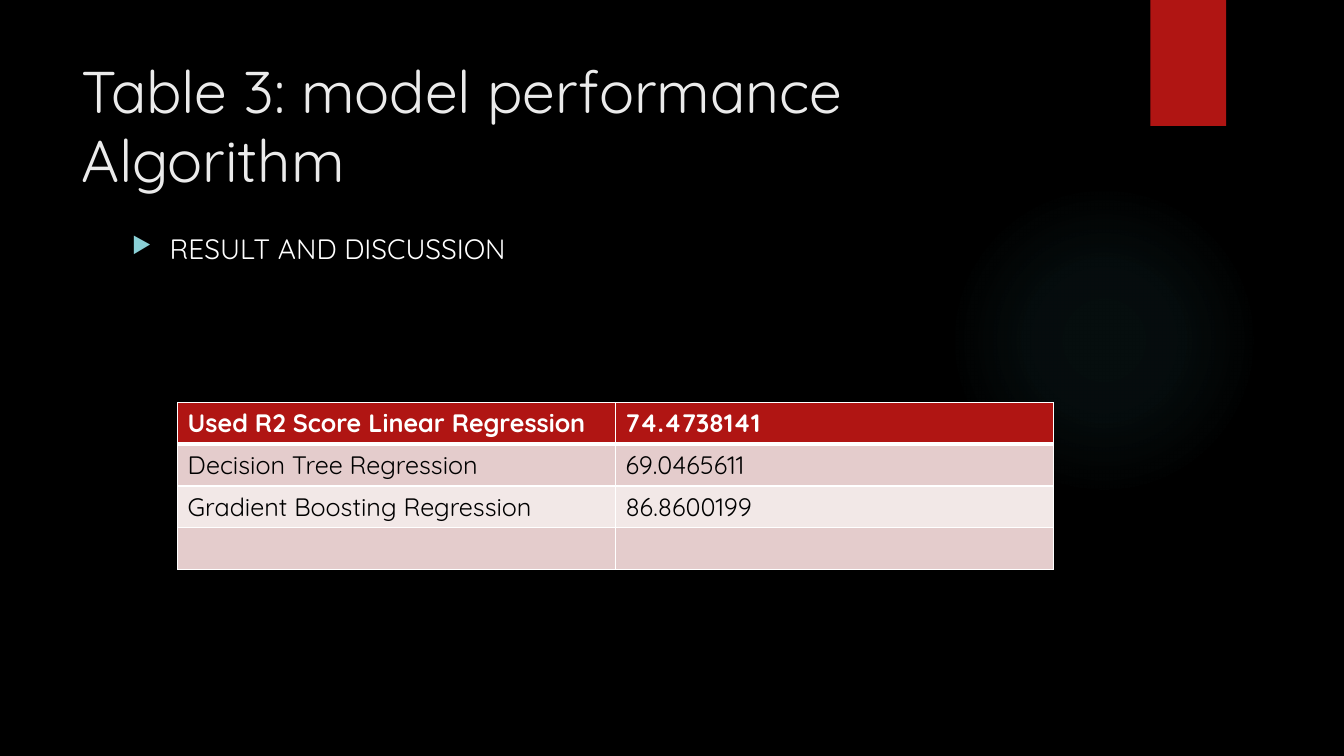
from lxml import etree
from pptx import Presentation
from pptx.dml.color import RGBColor
from pptx.enum.shapes import MSO_SHAPE
from pptx.enum.text import MSO_ANCHOR, MSO_AUTO_SIZE, PP_ALIGN
from pptx.oxml import parse_xml
from pptx.oxml.ns import nsdecls, qn
from pptx.util import Pt

OVAL, RECTANGLE = MSO_SHAPE.OVAL, MSO_SHAPE.RECTANGLE
LEFT, TOP, MIDDLE = PP_ALIGN.LEFT, MSO_ANCHOR.TOP, MSO_ANCHOR.MIDDLE
NO_AUTOFIT = MSO_AUTO_SIZE.NONE

BLACK = RGBColor(0x00, 0x00, 0x00)
WHITE = RGBColor(0xFF, 0xFF, 0xFF)
TITLE_GREY = RGBColor(0xEB, 0xEB, 0xEB)
RED = RGBColor(0xB0, 0x15, 0x13)
DARK_BAND = RGBColor(0xE4, 0xCC, 0xCC)
LIGHT_BAND = RGBColor(0xF2, 0xE8, 0xE7)
GLOW = RGBColor(0x50, 0xB9, 0xC1)
BULLET = RGBColor(0x8A, 0xD0, 0xD6)
FONT = "Quicksand"


def style_text(para, size, color, bold=False):
    for span in para.runs:
        span.font.name = FONT
        span.font.size = Pt(size)
        span.font.bold = bold
        span.font.color.rgb = color


def add_border(cell, side, width):
    cell._tc.get_or_add_tcPr().append(parse_xml(
        f'<a:{side} {nsdecls("a")} w="{Pt(width)}"><a:solidFill>'
        f'<a:srgbClr val="{WHITE}"/></a:solidFill></a:{side}>'))


deck = Presentation()
deck.slide_width, deck.slide_height = Pt(960), Pt(540)
page = deck.slides.add_slide(deck.slide_layouts[5])
page.background.fill.solid()
page.background.fill.fore_color.rgb = BLACK

# Soft round glow, fading outwards
glow = page.shapes.add_shape(OVAL, Pt(677.5), Pt(131.8), Pt(221.8), Pt(221.8))
glow.shadow.inherit = False
glow.line.fill.background()
stops = "".join(
    f'<a:gs pos="{position * 1000}"><a:srgbClr val="{GLOW}">'
    f'<a:alpha val="{alpha * 1000}"/></a:srgbClr></a:gs>'
    for position, alpha in [(0, 7), (36, 6), (69, 0), (100, 0)])
glow._element.spPr.find(qn("a:prstGeom")).addnext(parse_xml(
    f'<a:gradFill {nsdecls("a")}><a:gsLst>{stops}</a:gsLst><a:path path="circle">'
    '<a:fillToRect l="50000" t="50000" r="50000" b="50000"/></a:path></a:gradFill>'))

# Red tab at the top edge
tab = page.shapes.add_shape(RECTANGLE, Pt(821.8), Pt(0), Pt(54), Pt(90))
tab.shadow.inherit = False
tab.fill.solid()
tab.fill.fore_color.rgb = RED
tab.line.fill.background()

# Title
title = page.shapes.title
title.left, title.top, title.width, title.height = Pt(51), Pt(36), Pt(741), Pt(110.2)
title.text_frame.text = "Table 3: model performance Algorithm"
title.text_frame.word_wrap = True
title.text_frame.auto_size = NO_AUTOFIT
title.text_frame.vertical_anchor = MIDDLE
para = title.text_frame.paragraphs[0]
para.alignment = LEFT
para.line_spacing = 0.97
style_text(para, 42, TITLE_GREY)

# Bulleted line
body = page.shapes.add_textbox(Pt(87.1), Pt(162), Pt(704), Pt(330.5))
body.text_frame.word_wrap = True
body.text_frame.vertical_anchor = TOP
body.text_frame.text = "RESULT AND DISCUSSION"
para = body.text_frame.paragraphs[0]
style_text(para, 20, WHITE)
properties = para._p.get_or_add_pPr()
properties.set("marL", str(Pt(27)))
properties.set("indent", str(-Pt(27)))
bullet_color = etree.SubElement(properties, qn("a:buClr"))
etree.SubElement(bullet_color, qn("a:srgbClr"), val=str(BULLET))
etree.SubElement(properties, qn("a:buSzPct"), val="80000")
etree.SubElement(properties, qn("a:buChar"), char="▶")

# Score table
scores = [
    ("Used R2 Score Linear Regression", "74.4738141"),
    ("Decision Tree Regression", "69.0465611"),
    ("Gradient Boosting Regression", "86.8600199"),
    ("", ""),
]
row_height = 29.8
table = page.shapes.add_table(len(scores), 2, Pt(126.9), Pt(287.6),
                              Pt(625.4), Pt(row_height * len(scores))).table
table.first_row = table.horz_banding = False
for row, values in enumerate(scores):
    header = row == 0
    fill = RED if header else DARK_BAND if row % 2 else LIGHT_BAND
    for column, value in enumerate(values):
        cell = table.cell(row, column)
        cell.text = value
        style_text(cell.text_frame.paragraphs[0], 18, WHITE if header else BLACK, header)
        for side in ("lnL", "lnR", "lnT", "lnB"):
            heavy = (row, side) in [(0, "lnB"), (1, "lnT")]
            add_border(cell, side, 3 if heavy else 1)
        cell.fill.solid()
        cell.fill.fore_color.rgb = fill

deck.save("out.pptx")
